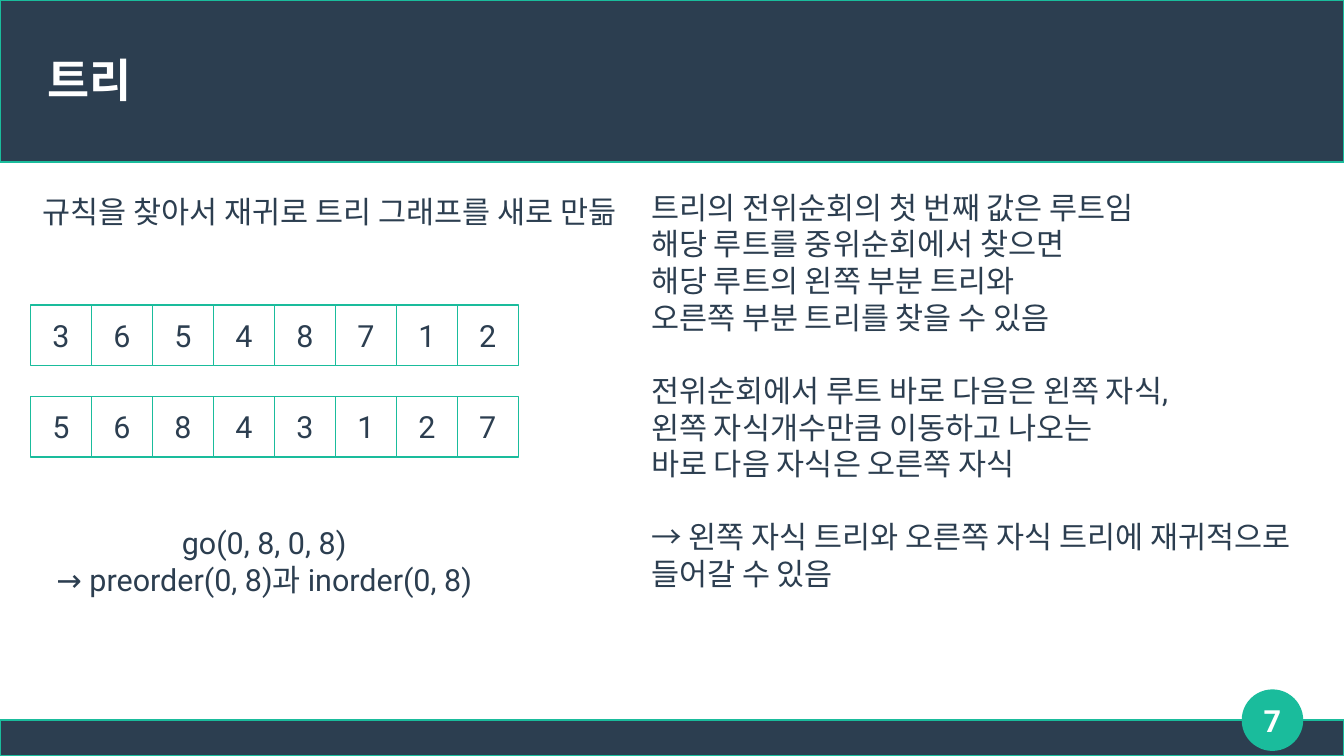
from pptx import Presentation
from pptx.dml.color import RGBColor
from pptx.enum.shapes import MSO_SHAPE
from pptx.enum.text import MSO_ANCHOR, PP_ALIGN
from pptx.util import Pt

NAVY = RGBColor(0x2C, 0x3E, 0x50)
TEAL = RGBColor(0x1A, 0xBC, 0x9C)
WHITE = RGBColor(0xFF, 0xFF, 0xFF)

SLIDE_WIDTH, SLIDE_HEIGHT = 793.44, 446.4
CELL_SIZE = 36
CELLS_LEFT = 18
PARAGRAPH_GAP = 21.7

PREORDER = "36548712"
INORDER = "56843127"
EXPLANATION = [
    ["트리의 전위순회의 첫 번째 값은 루트임",
     "해당 루트를 중위순회에서 찾으면",
     "해당 루트의 왼쪽 부분 트리와",
     "오른쪽 부분 트리를 찾을 수 있음"],
    ["전위순회에서 루트 바로 다음은 왼쪽 자식,",
     "왼쪽 자식개수만큼 이동하고 나오는",
     "바로 다음 자식은 오른쪽 자식"],
    ["→ 왼쪽 자식 트리와 오른쪽 자식 트리에 재귀적으로",
     "들어갈 수 있음"],
]


def apply_format(target, values):
    for attribute, value in values.items():
        setattr(target, attribute, value)


def write_groups(frame, groups, color=NAVY, size=18, bold=False,
                 align=PP_ALIGN.CENTER, anchor=MSO_ANCHOR.MIDDLE, margin=0):
    """Write groups of lines, one paragraph per line, with a gap between groups."""
    apply_format(frame, {
        "word_wrap": True, "vertical_anchor": anchor,
        "margin_left": Pt(margin), "margin_right": Pt(margin),
        "margin_top": Pt(margin / 2), "margin_bottom": Pt(margin / 2),
    })
    paragraph = None
    for group_index, lines in enumerate(groups):
        for line_index, line in enumerate(lines):
            paragraph = frame.add_paragraph() if paragraph else frame.paragraphs[0]
            paragraph.text = line
            paragraph.alignment = align
            if group_index and not line_index:
                paragraph.space_before = Pt(PARAGRAPH_GAP)
            for run in paragraph.runs:
                apply_format(run.font, {"name": "Roboto", "size": Pt(size), "bold": bold})
                run.font.color.rgb = color


def add_outlined(slide, preset, left, top, width, height, fill):
    shape = slide.shapes.add_shape(preset, Pt(left), Pt(top), Pt(width), Pt(height))
    shape.shadow.inherit = False
    shape.fill.solid()
    shape.fill.fore_color.rgb = fill
    shape.line.color.rgb = TEAL
    shape.line.width = Pt(0.85)
    return shape


def add_text(slide, left, top, width, height, groups, **style):
    box = slide.shapes.add_textbox(Pt(left), Pt(top), Pt(width), Pt(height))
    write_groups(box.text_frame, groups, margin=7.2, **style)


def add_array(slide, top, values):
    for index, value in enumerate(values):
        cell = add_outlined(slide, MSO_SHAPE.RECTANGLE, CELLS_LEFT + index * CELL_SIZE,
                            top, CELL_SIZE, CELL_SIZE, WHITE)
        write_groups(cell.text_frame, [[value]])


def add_bands(slide):
    for top, height in ((425.2, 21.2), (0, 95.8)):
        add_outlined(slide, MSO_SHAPE.RECTANGLE, 0, top, SLIDE_WIDTH, height, NAVY)


def add_page_badge(slide, number):
    badge = add_outlined(slide, MSO_SHAPE.OVAL, 733.5, 407.5, 35.5, 35.5, TEAL)
    write_groups(badge.text_frame, [[number]], color=WHITE, bold=True)


def set_title(slide, text):
    """Place the title in front of the header band."""
    title = slide.shapes.title
    apply_format(title, {"left": Pt(28), "top": Pt(18),
                         "width": Pt(737.3), "height": Pt(57)})
    write_groups(title.text_frame, [[text]], color=WHITE, size=27, bold=True,
                 align=PP_ALIGN.LEFT)
    title.element.getparent().append(title.element)


def main():
    presentation = Presentation()
    presentation.slide_width = Pt(SLIDE_WIDTH)
    presentation.slide_height = Pt(SLIDE_HEIGHT)
    slide = presentation.slides.add_slide(presentation.slide_layouts[5])

    add_bands(slide)
    set_title(slide, "트리")
    add_array(slide, 180, PREORDER)
    add_array(slide, 234, INORDER)
    add_text(slide, 10.8, 108, 367.2, 33.1,
             [["규칙을 찾아서 재귀로 트리 그래프를 새로 만듦"]])
    add_text(slide, 8, 302.4, 296, 57.6,
             [["go(0, 8, 0, 8)", "→ preorder(0, 8)과 inorder(0, 8)"]])
    add_text(slide, 377.3, 108, 404, 315.4, EXPLANATION,
             align=PP_ALIGN.LEFT, anchor=MSO_ANCHOR.TOP)
    add_page_badge(slide, "7")

    presentation.save("out.pptx")


if __name__ == "__main__":
    main()
